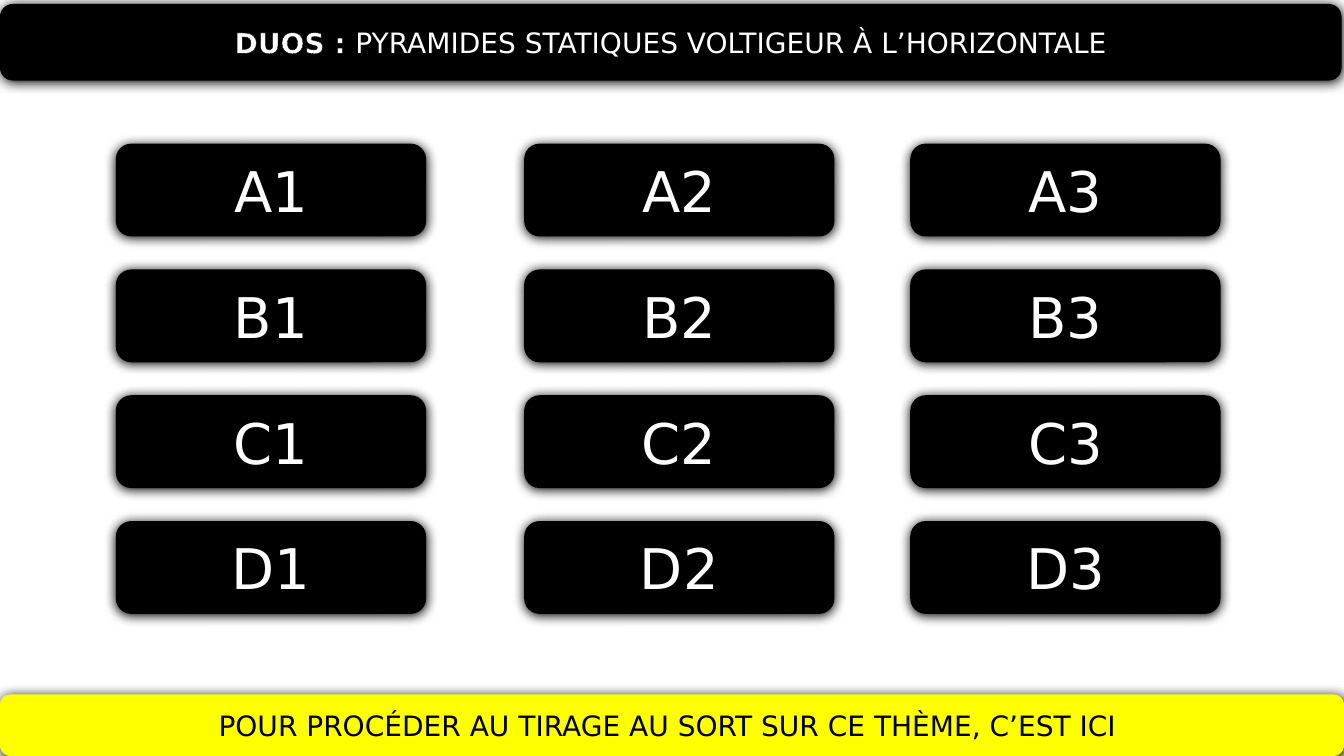
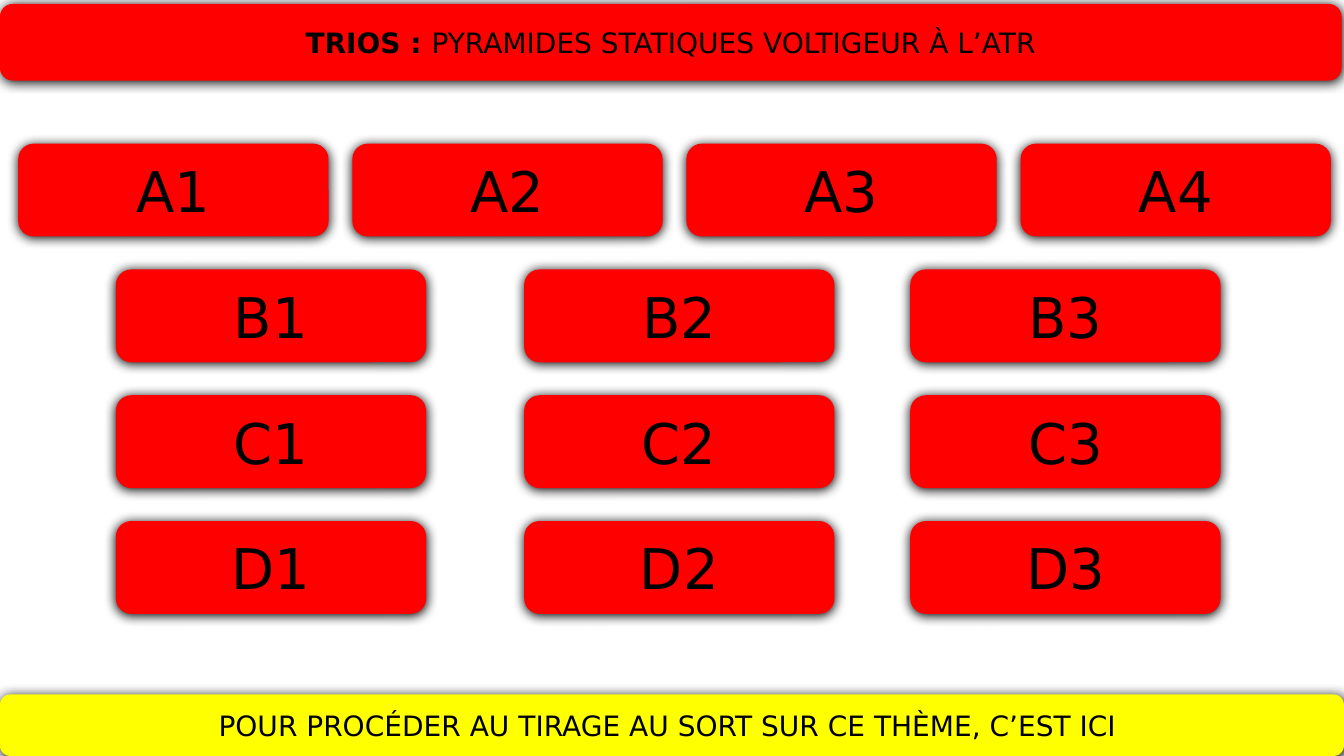
from dataclasses import dataclass

from pptx import Presentation
from pptx.dml.color import RGBColor
from pptx.enum.shapes import MSO_SHAPE as Preset
from pptx.enum.text import MSO_ANCHOR as Anchor, PP_ALIGN as Align
from pptx.oxml import parse_xml
from pptx.oxml.ns import nsdecls, qn
from pptx.slide import Slide
from pptx.util import Cm, Pt


# Theme
@dataclass(frozen=True)
class Theme:
    font: str = "DejaVu Sans"
    black: str = "000000"
    white: str = "FFFFFF"
    red: str = "FF0000"
    yellow: str = "FFFF00"
    band_size: int = 20
    button_size: int = 40
    outline_width: float = 0.75
    shadow_blur: float = 8.5
    shadow_distance: float = 1


THEME = Theme()


# Content and layout, lengths in cm
@dataclass(frozen=True)
class Box:
    left: float
    top: float
    width: float
    height: float


@dataclass(frozen=True)
class Style:
    fill: str
    ink: str
    size: int


@dataclass(frozen=True)
class Part:
    text: str
    bold: bool = False


@dataclass(frozen=True)
class Topic:
    group: str
    theme_name: str
    fill: str
    ink: str
    rows: dict[str, tuple[float, ...]]


SLIDE_WIDTH, SLIDE_HEIGHT = 33.87, 19.05
TITLE_BOX = Box(0, 0.1, 33.81, 1.93)
DRAW_BOX = Box(0, 17.5, SLIDE_WIDTH, 1.55)
DRAW_TEXT = "POUR PROCÉDER AU TIRAGE AU SORT SUR CE THÈME, C’EST ICI "

BUTTON_WIDTH, BUTTON_HEIGHT = 7.82, 2.34
FIRST_ROW, ROW_PITCH = 3.62, 3.17
THREE_COLUMNS = (2.92, 13.21, 22.94)
FOUR_COLUMNS = tuple(0.46 + 8.42 * column for column in range(4))

TOPICS = (
    Topic("DUOS", "PYRAMIDES STATIQUES VOLTIGEUR À L’HORIZONTALE",
          THEME.black, THEME.white, dict.fromkeys("ABCD", THREE_COLUMNS)),
    Topic("TRIOS", "PYRAMIDES STATIQUES VOLTIGEUR À L’ATR",
          THEME.red, THEME.black,
          {"A": FOUR_COLUMNS, **dict.fromkeys("BCD", THREE_COLUMNS)}),
)


# Drawing
def add_panel(slide: Slide, box: Box, style: Style, *parts: Part) -> None:
    """Draw a rounded, shadowed panel with one centred line of text."""
    panel = slide.shapes.add_shape(
        Preset.ROUNDED_RECTANGLE,
        Cm(box.left), Cm(box.top), Cm(box.width), Cm(box.height))
    panel.fill.solid()
    panel.fill.fore_color.rgb = RGBColor.from_string(style.fill)
    panel.line.fill.background()

    panel.shadow.inherit = False
    effects = panel._element.spPr.find(qn("a:effectLst"))
    effects.append(parse_xml(
        f'<a:outerShdw {nsdecls("a")} blurRad="{Pt(THEME.shadow_blur)}" '
        f'dist="{Pt(THEME.shadow_distance)}" dir="5400000" algn="ctr" '
        f'rotWithShape="0"><a:srgbClr val="{THEME.black}"/></a:outerShdw>'))

    frame = panel.text_frame
    frame.word_wrap = True
    frame.vertical_anchor = Anchor.MIDDLE
    line = frame.paragraphs[0]
    line.alignment = Align.CENTER
    line.font.name = THEME.font
    line.font.size = Pt(style.size)
    line.font.color.rgb = RGBColor.from_string(style.ink)
    for part in parts:
        run = line.add_run()
        run.text = part.text
        if part.bold:
            run.font.bold = True
            run._r.get_or_add_rPr().insert(0, parse_xml(
                f'<a:ln {nsdecls("a")} w="{Pt(THEME.outline_width)}"><a:solidFill>'
                f'<a:srgbClr val="{THEME.black}"/></a:solidFill></a:ln>'))


def add_buttons(slide: Slide, topic: Topic) -> None:
    style = Style(topic.fill, topic.ink, THEME.button_size)
    for row, (letter, columns) in enumerate(topic.rows.items()):
        top = FIRST_ROW + row * ROW_PITCH
        for number, left in enumerate(columns, start=1):
            add_panel(slide, Box(left, top, BUTTON_WIDTH, BUTTON_HEIGHT),
                      style, Part(f"{letter}{number}"))


def add_bands(slide: Slide, topic: Topic) -> None:
    add_panel(slide, TITLE_BOX, Style(topic.fill, topic.ink, THEME.band_size),
              Part(f"{topic.group} : ", bold=True), Part(topic.theme_name))
    add_panel(slide, DRAW_BOX, Style(THEME.yellow, THEME.black, THEME.band_size),
              Part(DRAW_TEXT))


def main() -> None:
    deck = Presentation()
    deck.slide_width, deck.slide_height = Cm(SLIDE_WIDTH), Cm(SLIDE_HEIGHT)
    blank = deck.slide_layouts[6]
    for topic in TOPICS:
        slide = deck.slides.add_slide(blank)
        add_buttons(slide, topic)
        add_bands(slide, topic)
    deck.save("out.pptx")


if __name__ == "__main__":
    main()
